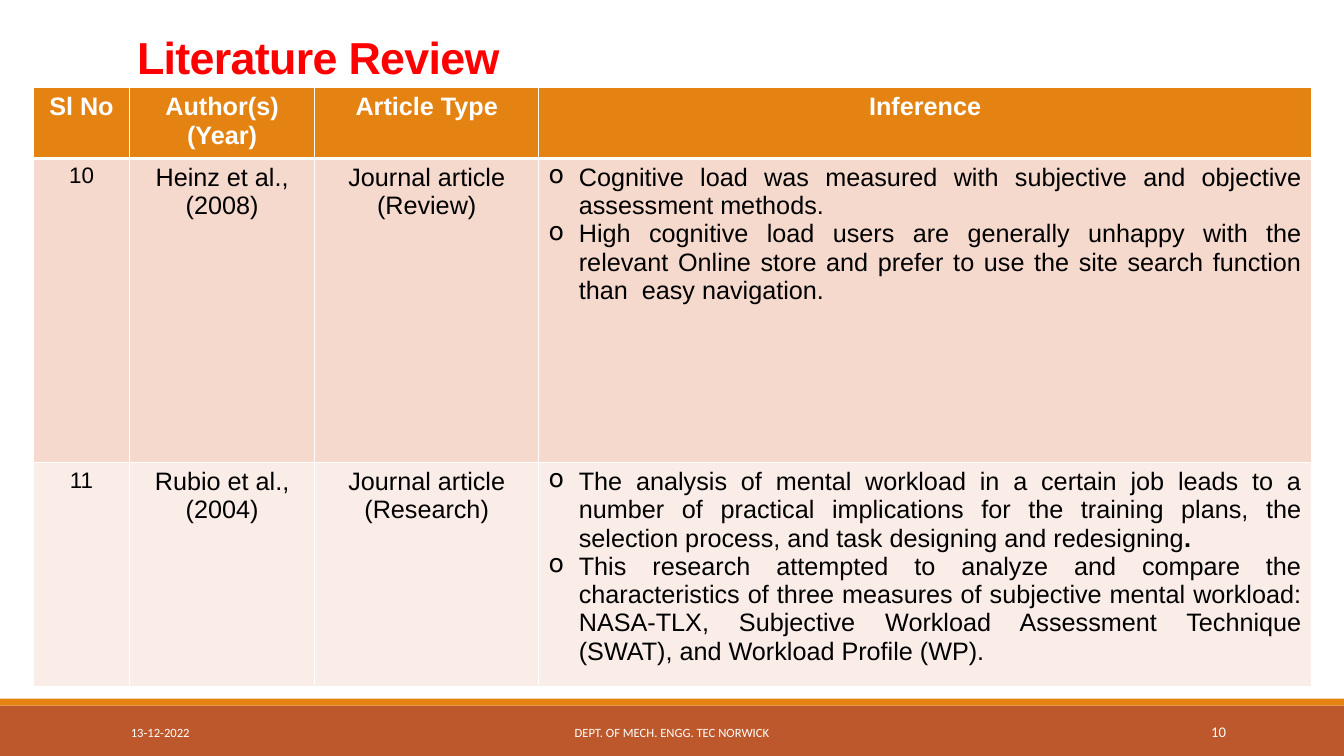
from dataclasses import dataclass

from lxml.etree import SubElement
from pptx import Presentation
from pptx.dml.color import RGBColor
from pptx.enum.shapes import MSO_SHAPE as Shape
from pptx.enum.text import MSO_ANCHOR as Anchor, MSO_AUTO_SIZE as AutoSize, PP_ALIGN as Align
from pptx.oxml.ns import qn
from pptx.util import Pt

COLORS = {
    "title": "FF0000",
    "header": "E48312",
    "footer": "BD582C",
    "odd_row": "F5D9CC",
    "even_row": "FAEDE7",
    "white": "FFFFFF",
    "black": "000000",
}
HEADINGS = ["Sl No", "Author(s) (Year)", "Article Type", "Inference"]
COLUMN_WIDTHS = [68.4, 132.5, 159.8, 552.2]
ROW_HEIGHTS = [49, 217.4, 160]
INDENT = 21.6


@dataclass
class Inference:
    text: str
    bold_end: str = ""


@dataclass
class Article:
    number: str
    author: str
    kind: str
    inferences: list[Inference]


@dataclass
class Band:
    top: float
    height: float
    color: str


@dataclass
class FooterItem:
    text: str
    left: float
    width: float
    align: Align
    size: float


ARTICLES = [
    Article("10", "Heinz et al.,\n(2008)", "Journal article (Review)", [
        Inference("Cognitive load was measured with subjective and objective "
                  "assessment methods. "),
        Inference("High cognitive load users are generally unhappy with the relevant "
                  "Online store and prefer to use the site search function "
                  "than  easy navigation."),
    ]),
    Article("11", "Rubio et al.,\n(2004)", "Journal article (Research)", [
        Inference("The analysis of mental workload in a certain job leads to a number of "
                  "practical implications for the training plans, the selection process, "
                  "and task designing and redesigning", "."),
        Inference("This research attempted to analyze and compare the characteristics of "
                  "three measures of subjective mental workload: NASA-TLX, Subjective "
                  "Workload Assessment Technique (SWAT), and Workload Profile (WP)."),
    ]),
]
BANDS = [Band(504, 36, "footer"), Band(499, 5, "header")]
FOOTER = [
    FooterItem("13-12-2022", 86.4, 194.4, Align.LEFT, 9),
    FooterItem("DEPT. OF MECH. ENGG. TEC NORWICK", 290.2, 379.4, Align.CENTER, 9),
    FooterItem("10", 779.8, 103, Align.RIGHT, 10.5),
]


def rgb(name: str) -> RGBColor:
    return RGBColor.from_string(COLORS[name])


def style(paragraph, size: float, color: str, align: Align,
          bold: bool = False, face: str = "Arial") -> None:
    paragraph.alignment = align
    font = paragraph.font
    font.name, font.size, font.bold = face, Pt(size), bold
    font.color.rgb = rgb(color)


def format_cell(cell, fill: str, bottom_width: float = 1) -> None:
    """Give the cell white borders and a solid fill."""
    properties = cell._tc.get_or_add_tcPr()
    for side, width in {"L": 1, "R": 1, "T": 1, "B": bottom_width}.items():
        line = SubElement(properties, qn(f"a:ln{side}"), w=str(Pt(width)))
        SubElement(SubElement(line, qn("a:solidFill")), qn("a:srgbClr"), val=COLORS["white"])
    cell.fill.solid()
    cell.fill.fore_color.rgb = rgb(fill)


def write_centred(cell, text: str, size: float, color: str, bold: bool = False) -> None:
    cell.text_frame.text = text
    for paragraph in cell.text_frame.paragraphs:
        style(paragraph, size, color, Align.CENTER, bold)


def write_inferences(cell, inferences: list[Inference]) -> None:
    frame = cell.text_frame
    for index, inference in enumerate(inferences):
        paragraph = frame.add_paragraph() if index else frame.paragraphs[0]
        properties = paragraph._p.get_or_add_pPr()
        properties.set("marL", str(Pt(INDENT)))
        properties.set("indent", str(-Pt(INDENT)))
        SubElement(properties, qn("a:buChar"), char="o")
        style(paragraph, 18, "black", Align.JUSTIFY)
        paragraph.add_run().text = inference.text
        if inference.bold_end:
            ending = paragraph.add_run()
            ending.text = inference.bold_end
            ending.font.bold = True


def add_band(slide, band: Band) -> None:
    shape = slide.shapes.add_shape(Shape.RECTANGLE, 0, Pt(band.top), Pt(960), Pt(band.height))
    shape.shadow.inherit = False
    shape.fill.solid()
    shape.fill.fore_color.rgb = rgb(band.color)
    shape.line.fill.background()


def add_review_table(slide) -> None:
    table = slide.shapes.add_table(
        len(ROW_HEIGHTS), len(COLUMN_WIDTHS), Pt(24), Pt(62.8),
        Pt(sum(COLUMN_WIDTHS)), Pt(sum(ROW_HEIGHTS))).table
    for column, width in zip(table.columns, COLUMN_WIDTHS):
        column.width = Pt(width)
    for row, height in zip(table.rows, ROW_HEIGHTS):
        row.height = Pt(height)
    for cell, heading in zip(table.rows[0].cells, HEADINGS):
        format_cell(cell, "header", bottom_width=3)
        write_centred(cell, heading, 18, "white", bold=True)
    for index, article in enumerate(ARTICLES, start=1):
        number, author, kind, inference = cells = list(table.rows[index].cells)
        for cell in cells:
            format_cell(cell, "odd_row" if index % 2 else "even_row")
        write_centred(number, article.number, 16, "black")
        write_centred(author, article.author, 18, "black")
        write_centred(kind, article.kind, 18, "black")
        write_inferences(inference, article.inferences)


def add_footer_item(slide, item: FooterItem) -> None:
    box = slide.shapes.add_textbox(Pt(item.left), Pt(508.5), Pt(item.width), Pt(28.8))
    frame = box.text_frame
    frame.word_wrap = True
    frame.vertical_anchor = Anchor.MIDDLE
    frame.text = item.text
    style(frame.paragraphs[0], item.size, "white", item.align, face="Calibri")


def set_title(slide, text: str) -> None:
    title = slide.shapes.title
    title.left, title.top, title.width, title.height = Pt(90.7), Pt(23), Pt(337), Pt(40.3)
    frame = title.text_frame
    frame.text = text
    frame.word_wrap = True
    frame.auto_size = AutoSize.SHAPE_TO_FIT_TEXT
    frame.vertical_anchor = Anchor.BOTTOM
    heading = frame.paragraphs[0]
    heading.line_spacing = 0.85
    style(heading, 32, "title", Align.LEFT, bold=True)
    heading.runs[0]._r.get_or_add_rPr().set("spc", "-50")


def main() -> None:
    deck = Presentation()
    deck.slide_width, deck.slide_height = Pt(960), Pt(540)
    slide = deck.slides.add_slide(deck.slide_layouts[5])
    for band in BANDS:
        add_band(slide, band)
    add_review_table(slide)
    for item in FOOTER:
        add_footer_item(slide, item)
    set_title(slide, "Literature Review")
    deck.save("out.pptx")


if __name__ == "__main__":
    main()
